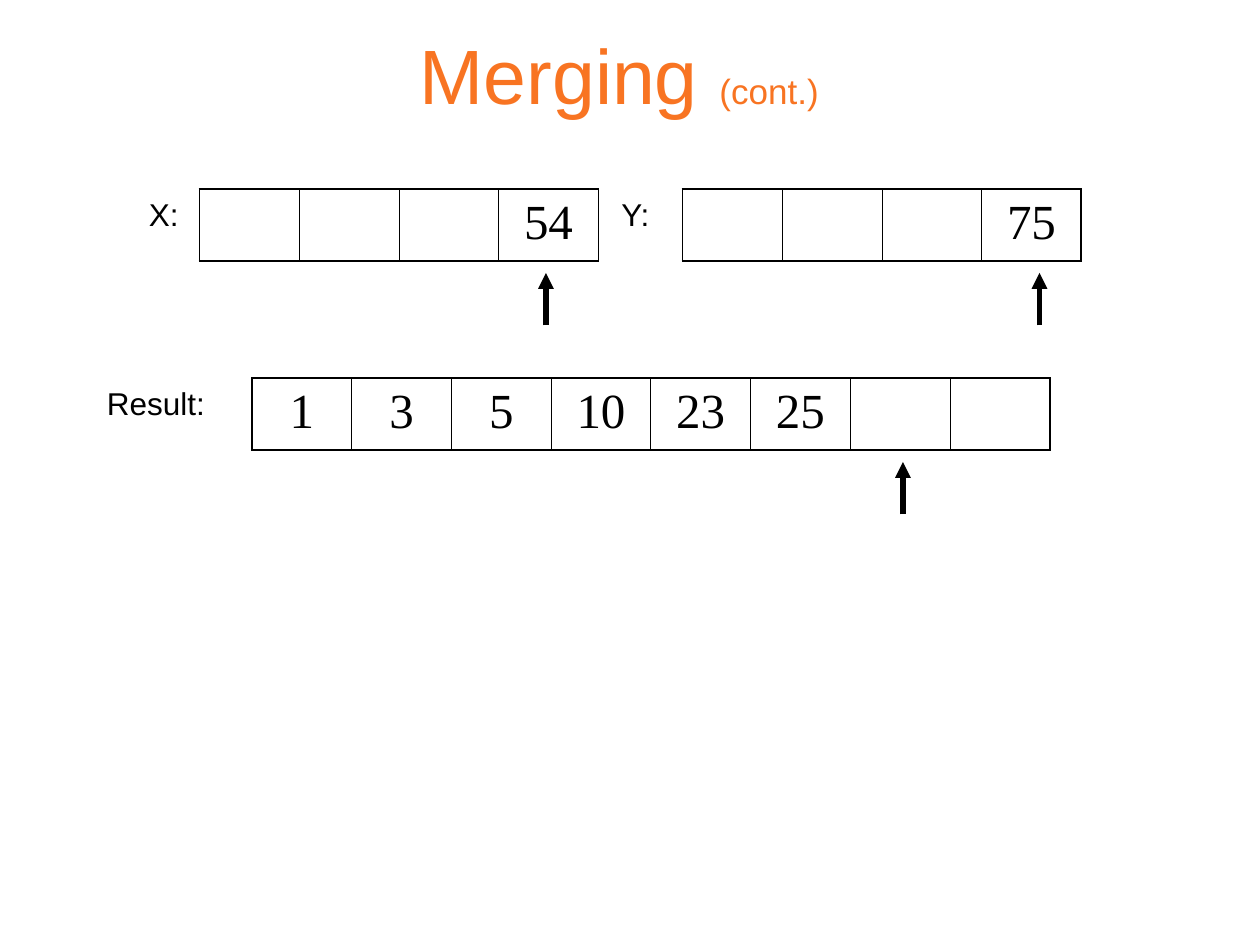
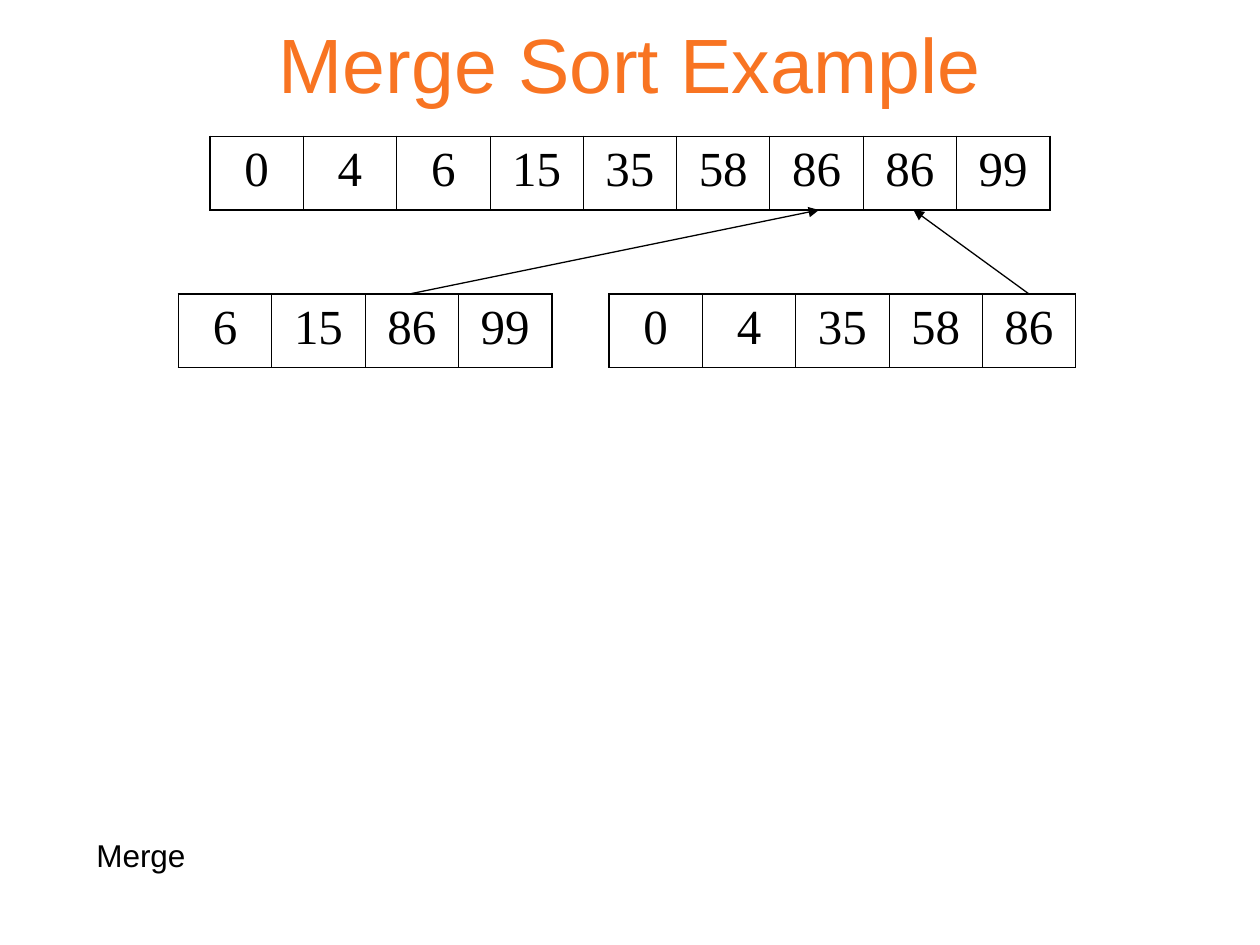
"""Build two slides that show the merge step of merge sort."""
from dataclasses import dataclass

from lxml import etree
from pptx import Presentation, util as u
from pptx.dml.color import RGBColor
from pptx.enum import shapes, text
from pptx.oxml.ns import qn

ORANGE = RGBColor(0xF8, 0x74, 0x22)
BLACK = RGBColor(0, 0, 0)
OUTER_BORDER, INNER_BORDER = 1.08, 0.45
TITLE_ONLY = 5
LABEL_HEIGHT = 29


@dataclass
class TitleRun:
    text: str
    size: float = 44


@dataclass
class Array:
    values: list[str]
    left: float
    top: float
    cell_width: float
    height: float


@dataclass
class Label:
    text: str
    left: float
    top: float
    width: float


@dataclass
class Arrow:
    start: tuple[float, float]
    end: tuple[float, float]
    width: float


@dataclass
class MergeSlide:
    title: list[TitleRun]
    title_top: float
    title_height: float
    arrays: list[Array]
    labels: list[Label]
    arrows: list[Arrow]


def pointer(x: float, array_top: float) -> Arrow:
    return Arrow((x, array_top + 78), (x, array_top + 48), 3)


def apply_format(target, values: dict) -> None:
    for name, value in values.items():
        setattr(target, name, value)


def add_run(paragraph, content: str, name: str, size: float, color: RGBColor) -> None:
    run = paragraph.add_run()
    run.text = content
    apply_format(run.font, {"name": name, "size": u.Pt(size)})
    run.font.color.rgb = color


def set_title(slide, page: MergeSlide) -> None:
    shape = slide.shapes.title
    apply_format(shape, {"left": u.Pt(54), "top": u.Pt(page.title_top),
                         "width": u.Pt(612), "height": u.Pt(page.title_height)})
    apply_format(shape.text_frame, {"vertical_anchor": text.MSO_ANCHOR.MIDDLE,
                                    "auto_size": text.MSO_AUTO_SIZE.NONE,
                                    "word_wrap": True})
    paragraph = shape.text_frame.paragraphs[0]
    paragraph.alignment = text.PP_ALIGN.CENTER
    for run in page.title:
        add_run(paragraph, run.text, "Arial", run.size, ORANGE)


def set_border(cell, side: str, width: float) -> None:
    properties = cell._tc.get_or_add_tcPr()
    line = etree.SubElement(properties, qn(f"a:ln{side}"), w=str(u.Pt(width)))
    fill = etree.SubElement(line, qn("a:solidFill"))
    etree.SubElement(fill, qn("a:srgbClr"), val=str(BLACK))


def add_array(slide, array: Array) -> None:
    count = len(array.values)
    frame = slide.shapes.add_table(1, count, u.Pt(array.left), u.Pt(array.top),
                                   u.Pt(array.cell_width * count), u.Pt(array.height))
    table = frame.table
    apply_format(table, {"first_row": False, "horz_banding": False})
    for index, value in enumerate(array.values):
        table.columns[index].width = u.Pt(array.cell_width)
        cell = table.cell(0, index)
        borders = {"L": OUTER_BORDER if index == 0 else INNER_BORDER,
                   "R": OUTER_BORDER if index == count - 1 else INNER_BORDER,
                   "T": OUTER_BORDER, "B": OUTER_BORDER}
        for side, width in borders.items():
            set_border(cell, side, width)
        cell.fill.background()
        if value:
            paragraph = cell.text_frame.paragraphs[0]
            apply_format(paragraph, {"alignment": text.PP_ALIGN.CENTER,
                                     "space_before": u.Pt(7)})
            add_run(paragraph, value, "Times New Roman", 28, BLACK)


def add_label(slide, label: Label) -> None:
    shape = slide.shapes.add_textbox(u.Pt(label.left), u.Pt(label.top),
                                     u.Pt(label.width), u.Pt(LABEL_HEIGHT))
    apply_format(shape.text_frame, {"word_wrap": True,
                                    "auto_size": text.MSO_AUTO_SIZE.SHAPE_TO_FIT_TEXT})
    paragraph = shape.text_frame.paragraphs[0]
    paragraph.space_before = u.Pt(11.2)
    add_run(paragraph, label.text, "Arial", 18, BLACK)


def add_arrow(slide, arrow: Arrow) -> None:
    ends = [u.Pt(value) for value in (*arrow.start, *arrow.end)]
    connector = slide.shapes.add_connector(shapes.MSO_CONNECTOR.STRAIGHT, *ends)
    connector.line.width = u.Pt(arrow.width)
    connector.line.color.rgb = BLACK
    etree.SubElement(connector.line._get_or_add_ln(), qn("a:tailEnd"), type="triangle")
    etree.SubElement(connector._element.spPr, qn("a:effectLst"))


def add_slide(presentation, page: MergeSlide) -> None:
    slide = presentation.slides.add_slide(presentation.slide_layouts[TITLE_ONLY])
    set_title(slide, page)
    for array in page.arrays:
        add_array(slide, array)
    for label in page.labels:
        add_label(slide, label)
    for arrow in page.arrows:
        add_arrow(slide, arrow)


MERGING = MergeSlide(
    title=[TitleRun("Merging "), TitleRun("(cont.)", 20), TitleRun(" ")],
    title_top=12, title_height=60,
    arrays=[Array(["", "", "", "54"], 114, 108, 57, 41),
            Array(["", "", "", "75"], 390, 108, 57, 41),
            Array(["1", "3", "5", "10", "23", "25", "", ""], 144, 216, 57, 41)],
    labels=[Label("X:", 78, 108, 42), Label("Y:", 348, 108, 42),
            Label("Result:", 54, 216, 84)],
    arrows=[pointer(312, 108), pointer(594, 108), pointer(516, 216)],
)

SORT_EXAMPLE = MergeSlide(
    title=[TitleRun("Merge Sort Example")],
    title_top=0, title_height=72,
    arrays=[Array("0 4 6 15 35 58 86 86 99".split(), 120, 78, 53.33, 42),
            Array("6 15 86 99".split(), 102, 168, 53.33, 42),
            Array("0 4 35 58 86".split(), 348, 168, 53.33, 42)],
    labels=[Label("Merge", 48, 474, 366)],
    arrows=[Arrow((234, 168), (468, 120), 0.75), Arrow((588, 168), (522, 120), 0.75)],
)


def main() -> None:
    presentation = Presentation()
    apply_format(presentation, {"slide_width": u.Pt(720), "slide_height": u.Pt(540)})
    for page in (MERGING, SORT_EXAMPLE):
        add_slide(presentation, page)
    presentation.save("out.pptx")


if __name__ == "__main__":
    main()
